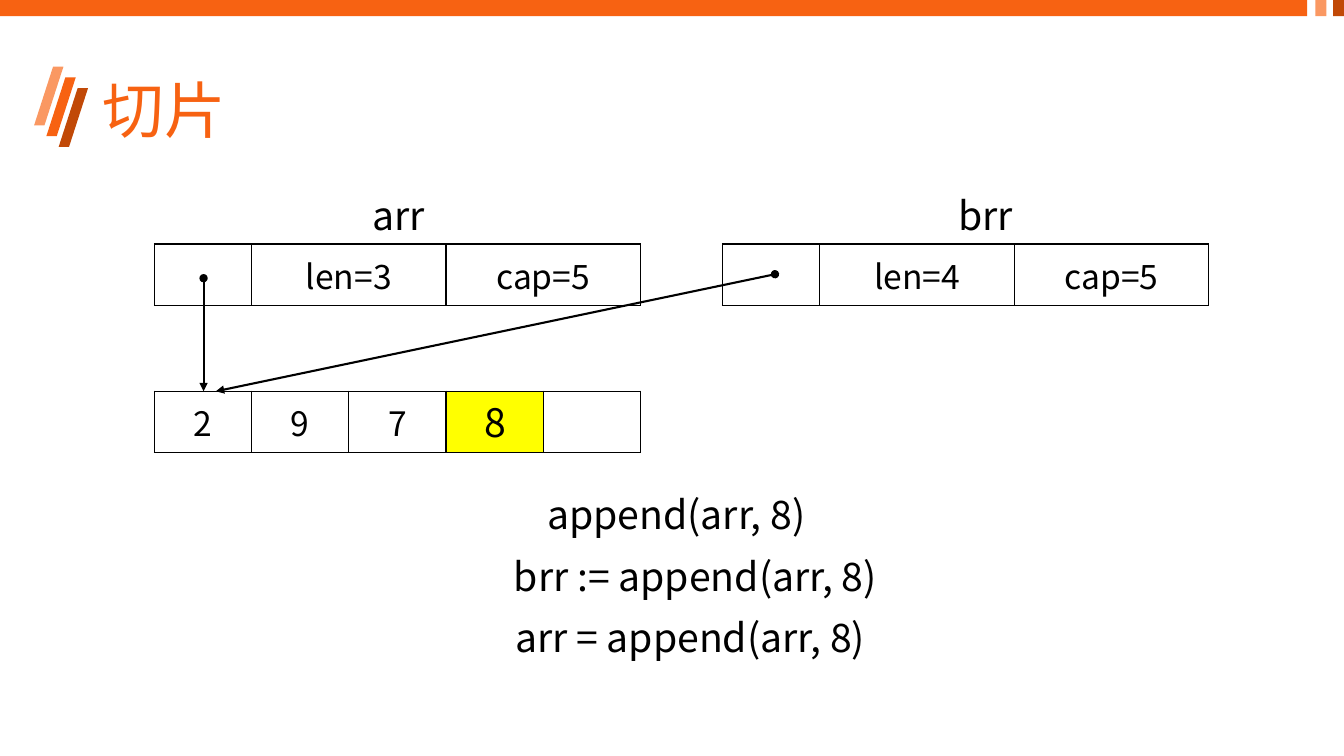
from lxml import etree
from pptx import Presentation, util as u
from pptx.dml.color import RGBColor
from pptx.enum import shapes, text
from pptx.oxml import ns

COLORS = {"orange": "F76212", "light": "FA9862", "dark": "C14907",
          "black": "000000", "yellow": "FFFF00"}
FONT = "Noto Sans CJK SC"
CELL_WIDTH, ROW_HEIGHT = 2.45, 1.55


def format_text(paragraph, size, color="black", align=text.PP_ALIGN.LEFT):
    paragraph.alignment = align
    font = paragraph.font
    font.size = u.Pt(size)
    font.name = FONT
    font.color.rgb = RGBColor.from_string(COLORS[color])
    properties = paragraph._p.pPr.find(ns.qn("a:defRPr"))
    etree.SubElement(properties, ns.qn("a:ea"), typeface=FONT)


def add_block(kind, left, top, width, height, color):
    block = slide.shapes.add_shape(
        kind, u.Cm(left), u.Cm(top), u.Cm(width), u.Cm(height))
    block.shadow.inherit = False
    block.fill.solid()
    block.fill.fore_color.rgb = RGBColor.from_string(COLORS[color])
    block.line.fill.background()
    return block


presentation = Presentation()
presentation.slide_width, presentation.slide_height = u.Cm(33.87), u.Cm(19.05)
slide = presentation.slides.add_slide(presentation.slide_layouts[5])

# Slanted stripes beside the title
for index, color in enumerate(["light", "orange", "dark"]):
    stripe = add_block(shapes.MSO_SHAPE.PARALLELOGRAM, 0.86 + 0.31 * index,
                       1.68 + 0.27 * index, 0.74, 1.48, color)
    stripe.adjustments[0] = 0.646

# Bar along the top edge
for left, width, color in [(0, 32.94, "orange"), (33.15, 0.28, "light"),
                           (33.6, 0.27, "dark")]:
    add_block(shapes.MSO_SHAPE.RECTANGLE, left, 0, width, 0.41, color)

# Title
title = slide.shapes.title
title.left, title.top, title.width, title.height = (
    u.Cm(2.34), u.Cm(1.02), u.Cm(29.21), u.Cm(3.68))
title.text_frame.text = "切片"
title.text_frame.vertical_anchor = text.MSO_ANCHOR.MIDDLE
title.text_frame.auto_size = text.MSO_AUTO_SIZE.NONE
title.text_frame.paragraphs[0].line_spacing = 0.9
format_text(title.text_frame.paragraphs[0], 44, "orange")

# Backing array and the two slice headers: left, top, (text, cell units, fill)
tables = [
    (3.89, 9.86, [("2", 1, None), ("9", 1, None), ("7", 1, None),
                  ("", 1, "yellow"), ("", 1, None)]),
    (3.89, 6.15, [("", 1, None), ("len=3", 2, None), ("cap=5", 2, None)]),
    (18.21, 6.15, [("", 1, None), ("len=4", 2, None), ("cap=5", 2, None)]),
]
for left, top, cells in tables:
    table = slide.shapes.add_table(
        1, len(cells), u.Cm(left), u.Cm(top),
        u.Cm(5 * CELL_WIDTH), u.Cm(ROW_HEIGHT)).table
    table.first_row = table.horz_banding = False
    table.rows[0].height = u.Cm(ROW_HEIGHT)
    for column, (label, units, fill) in enumerate(cells):
        table.columns[column].width = u.Cm(units * CELL_WIDTH)
        cell = table.cell(0, column)
        cell.text = label
        cell.vertical_anchor = text.MSO_ANCHOR.MIDDLE
        format_text(cell.text_frame.paragraphs[0], 24,
                    align=text.PP_ALIGN.CENTER)
        cell_properties = cell._tc.get_or_add_tcPr()
        for side in ["lnL", "lnR", "lnT", "lnB"]:
            border = etree.SubElement(cell_properties, ns.qn(f"a:{side}"),
                                      w=str(u.Pt(1)))
            border_fill = etree.SubElement(border, ns.qn("a:solidFill"))
            etree.SubElement(border_fill, ns.qn("a:srgbClr"),
                             val=COLORS["black"])
        if fill:
            cell.fill.solid()
            cell.fill.fore_color.rgb = RGBColor.from_string(COLORS[fill])
        else:
            cell.fill.background()

# Pointers from the slice headers to the backing array
for start_x, start_y, end_x, end_y in [(5.13, 7.01, 5.13, 9.86),
                                       (19.53, 6.91, 5.44, 9.86)]:
    pointer = slide.shapes.add_connector(
        shapes.MSO_CONNECTOR.STRAIGHT,
        u.Cm(start_x), u.Cm(start_y), u.Cm(end_x), u.Cm(end_y))
    pointer.line.width = u.Pt(1.5)
    pointer.line.color.rgb = RGBColor.from_string(COLORS["black"])
    line = pointer.line._get_or_add_ln()
    etree.SubElement(line, ns.qn("a:headEnd"), type="oval")
    etree.SubElement(line, ns.qn("a:tailEnd"), type="triangle")
    etree.SubElement(pointer._element.spPr, ns.qn("a:effectLst"))

# Slice names, appended value and statements
labels = [
    ("arr", 9.14, 4.7, 1.83),
    ("brr", 23.9, 4.7, 1.88),
    ("8", 11.96, 9.91, 1.07),
    ("append(arr, 8)", 13.54, 12.24, 7.01),
    ("brr := append(arr, 8)", 12.7, 13.79, 9.65),
    ("arr = append(arr, 8)", 12.73, 15.34, 9.32),
]
for label, left, top, width in labels:
    box = slide.shapes.add_textbox(u.Cm(left), u.Cm(top), u.Cm(width), u.Cm(1.45))
    box.text_frame.text = label
    box.text_frame.word_wrap = False
    box.text_frame.auto_size = text.MSO_AUTO_SIZE.SHAPE_TO_FIT_TEXT
    format_text(box.text_frame.paragraphs[0], 28)

presentation.save("out.pptx")
